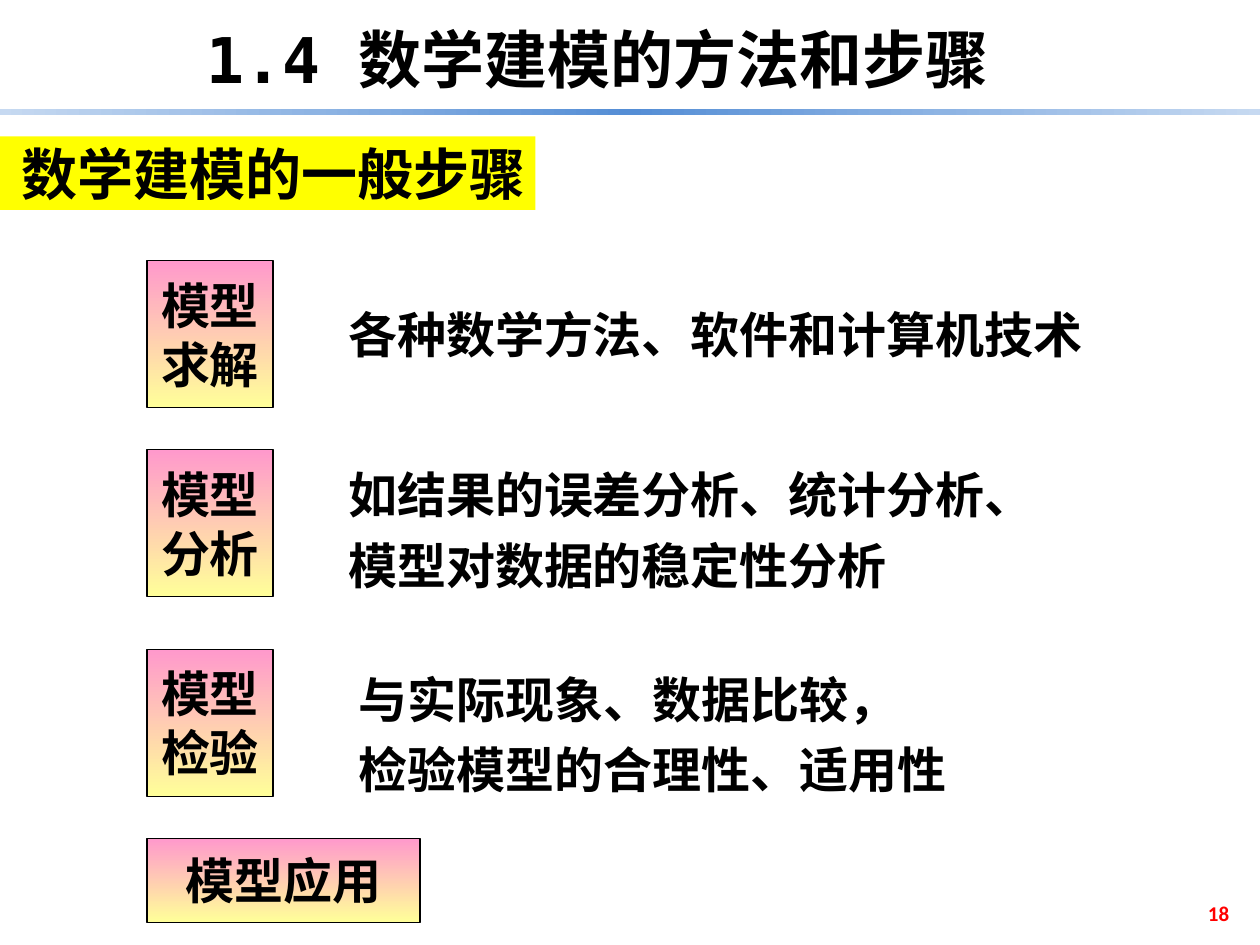
from lxml import etree
from pptx import Presentation
from pptx.dml.color import RGBColor
from pptx.enum import shapes, text
from pptx.oxml import ns
from pptx.util import Pt

THEME = {
    "black": "000000",
    "red": "FF0000",
    "yellow": "FFFF00",
    "box_stops": [(0, "FF99CC"), (100, "FFFF99")],
    "rule_stops": [(0, "C6D9F1"), (25, "8EB4E3"), (50, "558ED5"), (75, "8EB4E3"), (100, "C6D9F1")],
    "title_size": 36,
    "heading_size": 32,
    "body_size": 28,
    "number_size": 12,
    "title_font": "DejaVu Sans Mono",
    "body_font": "Times New Roman",
    "number_font": "Calibri",
    "chinese_font": "Noto Sans CJK SC",
}

TITLE = "1.4 数学建模的方法和步骤"
HEADING = " 数学建模的一般步骤"
PAGE_NUMBER = "18"
STEPS = [
    {"name": "模型\n求解", "top": 149, "box": (72, 84),
     "detail": "各种数学方法、软件和计算机技术", "area": (192, 167, 438, 48), "spacing": 1.0},
    {"name": "模型\n分析", "top": 257, "box": (72, 84),
     "detail": "如结果的误差分析、统计分析、\n模型对数据的稳定性分析", "area": (192, 257, 432, 84), "spacing": 1.2},
    {"name": "模型\n检验", "top": 371, "box": (72, 84),
     "detail": "与实际现象、数据比较，\n检验模型的合理性、适用性", "area": (198, 371, 426, 90), "spacing": 1.2},
    {"name": "模型应用", "top": 479, "box": (156, 48)},
]
BOX_LEFT = 84

CENTER, LEFT, RIGHT = text.PP_ALIGN.CENTER, text.PP_ALIGN.LEFT, text.PP_ALIGN.RIGHT


def write(shape, words, size, font, align=CENTER, color="black", wrap=True, spacing=1.0):
    frame = shape.text_frame
    frame.text = words
    frame.word_wrap = wrap
    frame.auto_size = text.MSO_AUTO_SIZE.NONE
    frame.vertical_anchor = text.MSO_ANCHOR.MIDDLE
    for paragraph in frame.paragraphs:
        paragraph.alignment = align
        paragraph.line_spacing = spacing
        for run in paragraph.runs:
            run.font.size = Pt(THEME[size])
            run.font.bold = True
            run.font.name = THEME[font]
            run.font.color.rgb = RGBColor.from_string(THEME[color])
            east_asian = etree.Element(ns.qn("a:ea"), typeface=THEME["chinese_font"])
            run.font._element.find(ns.qn("a:latin")).addnext(east_asian)


def fill_gradient(shape, stops, angle):
    shape.fill.gradient()
    gradient = shape._element.spPr.find(ns.qn("a:gradFill"))
    stop_list = gradient.find(ns.qn("a:gsLst"))
    for stop in list(stop_list):
        stop_list.remove(stop)
    for position, color in stops:
        stop = etree.SubElement(stop_list, ns.qn("a:gs"), pos=str(position * 1000))
        etree.SubElement(stop, ns.qn("a:srgbClr"), val=color)
    shape.fill.gradient_angle = -angle % 360


def add_rectangle(slide, left, top, width, height):
    shape = slide.shapes.add_shape(
        shapes.MSO_SHAPE.RECTANGLE, Pt(left), Pt(top), Pt(width), Pt(height))
    shape.shadow.inherit = False
    shape.line.fill.background()
    return shape


def add_text(slide, area, words, *style, **options):
    write(slide.shapes.add_textbox(*map(Pt, area)), words, *style, **options)


def add_step(slide, step):
    box = add_rectangle(slide, BOX_LEFT, step["top"], *step["box"])
    fill_gradient(box, THEME["box_stops"], 90)
    box.line.color.rgb = RGBColor.from_string(THEME["black"])
    box.line.width = Pt(0.75)
    write(box, step["name"], "body_size", "body_font", wrap=False)
    if "detail" in step:
        add_text(slide, step["area"], step["detail"], "body_size", "body_font",
                 align=LEFT, spacing=step["spacing"])


def main():
    presentation = Presentation()
    presentation.slide_width, presentation.slide_height = Pt(720), Pt(540)
    slide = presentation.slides.add_slide(presentation.slide_layouts[5])

    title = slide.shapes.title
    title.left, title.top, title.width, title.height = Pt(58), Pt(8), Pt(567), Pt(51)
    write(title, TITLE, "title_size", "title_font")

    rule = add_rectangle(slide, 0, 62.5, 720, 3.5)
    fill_gradient(rule, THEME["rule_stops"], 0)

    heading = add_rectangle(slide, 0, 78, 306, 42)
    heading.fill.solid()
    heading.fill.fore_color.rgb = RGBColor.from_string(THEME["yellow"])
    write(heading, HEADING, "heading_size", "chinese_font", wrap=False)

    for step in STEPS:
        add_step(slide, step)

    add_text(slide, (541.5, 507, 168, 29), PAGE_NUMBER, "number_size", "number_font",
             align=RIGHT, color="red")
    presentation.save("out.pptx")


if __name__ == "__main__":
    main()
